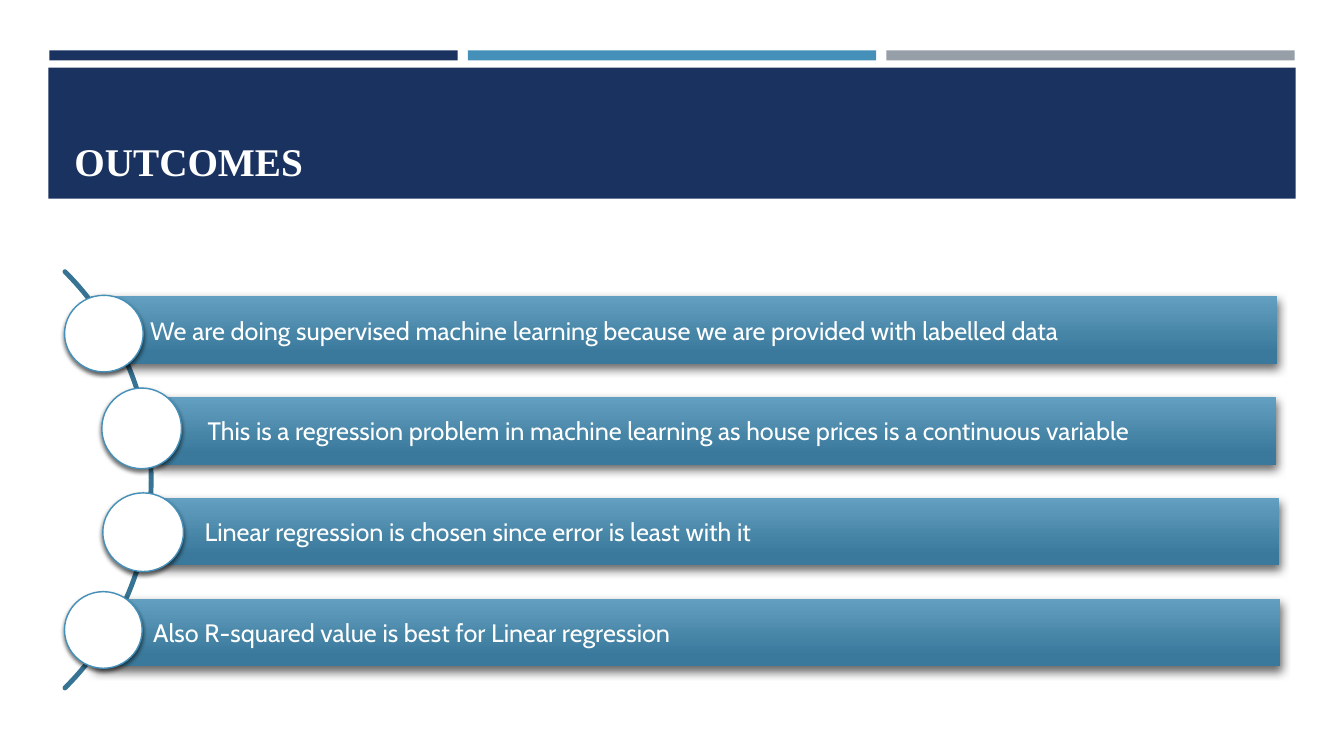
from math import cos, radians, sin

from lxml import etree
from pptx import Presentation
from pptx.dml.color import RGBColor
from pptx.enum.shapes import MSO_SHAPE as Shape
from pptx.enum.text import MSO_ANCHOR as Anchor, PP_ALIGN as Align
from pptx.oxml.ns import qn
from pptx.util import Inches, Pt

COLORS = {
    "navy": "1A3260",
    "blue": "4590B8",
    "gray": "969FA7",
    "arc": "377393",
    "bar_top": "639FC1",
    "bar_bottom": "3A799B",
    "white": "FFFFFF",
    "black": "000000",
}

# Bar left, bar right, text inset, circle box, text
OUTCOMES = [
    (0.9, 12.67, 0.59, (0.64, 2.93, 0.78, 0.76),
     "We are doing supervised machine learning because we are provided with labelled data"),
    (1.53, 12.66, 0.53, (1.01, 3.85, 0.79, 0.8),
     "This is a regression problem in machine learning as house prices is a continuous variable"),
    (1.28, 12.69, 0.75, (1.02, 4.89, 0.8, 0.78),
     "Linear regression is chosen since error is least with it"),
    (0.93, 12.7, 0.59, (0.64, 5.87, 0.77, 0.76),
     "Also R-squared value is best for Linear regression"),
]
FIRST_BAR_TOP, BAR_STEP, BAR_HEIGHT = 2.94, 1.0, 0.67


def color(name):
    return RGBColor.from_string(COLORS[name])


def add_filled(slide, kind, box, fill):
    shape = slide.shapes.add_shape(kind, *map(Inches, box))
    shape.shadow.inherit = False
    shape.fill.solid()
    shape.fill.fore_color.rgb = color(fill)
    shape.line.fill.background()
    return shape


def add_shadow(shape, blur, distance, angle, opacity):
    """Cast an outer shadow; lengths in points, opacity in percent."""
    effects = shape._element.spPr.find(qn("a:effectLst"))
    shadow = etree.SubElement(
        effects, qn("a:outerShdw"), blurRad=str(Pt(blur)), dist=str(Pt(distance)),
        dir=str(angle * 60000), algn="ctr", rotWithShape="0")
    shade = etree.SubElement(shadow, qn("a:srgbClr"), val=COLORS["black"])
    etree.SubElement(shade, qn("a:alpha"), val=str(opacity * 1000))


def write(shape, text, font_name, size, anchor, left_inset, bold=False):
    frame = shape.text_frame
    frame.text = text
    frame.word_wrap = True
    frame.vertical_anchor = anchor
    frame.margin_left = Inches(left_inset)
    frame.margin_right = frame.margin_top = frame.margin_bottom = Inches(0.05)
    paragraph = frame.paragraphs[0]
    paragraph.alignment = Align.LEFT
    font = paragraph.runs[0].font
    font.name, font.size, font.bold = font_name, Pt(size), bold
    font.color.rgb = color("white")


def add_header(slide):
    for index, fill in enumerate(("navy", "blue", "gray")):
        add_filled(slide, Shape.RECTANGLE, (0.49 + index * 4.15, 0.5, 4.05, 0.1), fill)
    add_filled(slide, Shape.RECTANGLE, (0.48, 0.67, 12.37, 1.3), "navy")
    title = slide.shapes.add_textbox(*map(Inches, (0.64, 0.77, 12.06, 1.11)))
    write(title, "OUTCOMES", "Times New Roman", 28, Anchor.BOTTOM, 0.1, bold=True)


def add_arc(slide, center_x, center_y, radius):
    """Draw the right-hand quarter of a circle as an open curve."""
    points = [(Inches(center_x + radius * cos(radians(angle))),
               Inches(center_y + radius * sin(radians(angle))))
              for angle in range(-45, 46)]
    builder = slide.shapes.build_freeform(*points[0])
    builder.add_line_segments(points[1:], close=False)
    arc = builder.convert_to_shape()
    arc.shadow.inherit = False
    arc.fill.background()
    arc.line.color.rgb = color("arc")
    arc.line.width = Pt(3.5)
    arc.line._get_or_add_ln().set("cap", "rnd")


def add_bar(slide, box, text, inset):
    bar = add_filled(slide, Shape.RECTANGLE, box, "bar_top")
    bar.fill.gradient()
    bar.fill.gradient_angle = 270
    stops = ((0, "bar_top"), (0.84, "bar_bottom"))
    for stop, (position, name) in zip(bar.fill.gradient_stops, stops):
        stop.position = position
        stop.color.rgb = color(name)
    add_shadow(bar, 7, 3, 84, 60)
    write(bar, text, "Cabin", 18, Anchor.MIDDLE, inset)


def add_circle(slide, box):
    circle = add_filled(slide, Shape.OVAL, box, "white")
    circle.line.color.rgb = color("blue")
    circle.line.width = Pt(1)
    add_shadow(circle, 3, 2, 90, 55)


def main():
    presentation = Presentation()
    presentation.slide_width = Inches(13.33)
    presentation.slide_height = Inches(7.5)
    slide = presentation.slides.add_slide(presentation.slide_layouts[6])

    add_header(slide)
    add_arc(slide, -1.42, 4.76, 2.92)
    for index, (left, right, inset, circle_box, text) in enumerate(OUTCOMES):
        top = FIRST_BAR_TOP + index * BAR_STEP
        add_bar(slide, (left, top, right - left, BAR_HEIGHT), text, inset)
        add_circle(slide, circle_box)

    presentation.save("out.pptx")


if __name__ == "__main__":
    main()
